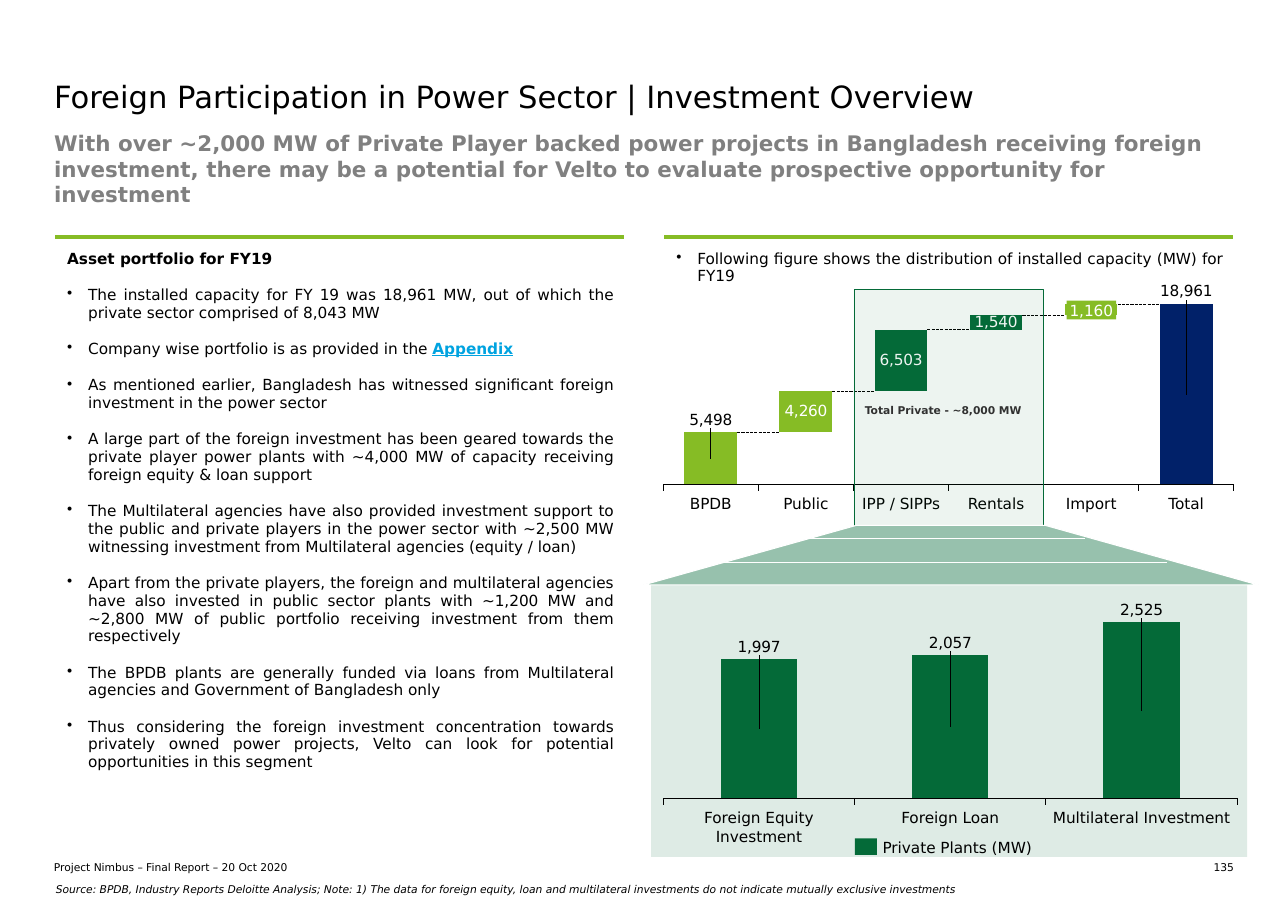
from pptx import Presentation
from pptx.chart.data import CategoryChartData
from pptx.dml.color import RGBColor
from pptx.enum.chart import XL_CHART_TYPE as ChartType, XL_TICK_LABEL_POSITION as TickLabel, XL_TICK_MARK as Tick
from pptx.enum.dml import MSO_LINE as Dash
from pptx.enum.shapes import MSO_CONNECTOR as Connector, MSO_SHAPE as Preset
from pptx.enum.text import MSO_ANCHOR as Anchor, PP_ALIGN as Align
from pptx.oxml import parse_xml
from pptx.oxml.ns import nsdecls, qn
from pptx.util import Inches, Pt

COLORS = {"black": "000000", "white": "FFFFFF", "grey": "808080", "charcoal": "313131",
          "lime": "86BC25", "green": "046A38", "navy": "012169", "link": "00A3E0"}
FONT = "DejaVu Sans"
COLUMNS, ROWS = 116.9, 82.7  # square grid cells, a tenth of an inch each


def rgb(color):
    return RGBColor.from_string(COLORS[color])


class SlideBuilder:
    def __init__(self, slide):
        self.slide = slide
        self.shapes = slide.shapes

    def cells(self, *lengths):
        return [Inches(length / 10) for length in lengths]

    def style(self, font, size=10, color="black", bold=False, italic=False, underline=False):
        font.name, font.size = FONT, Pt(size)
        font.color.rgb = rgb(color)
        font.bold, font.italic, font.underline = bold, italic, underline

    def add_runs(self, paragraph, *runs, align=Align.LEFT, **style):
        """Add runs, each a string or a (string, style overrides) pair."""
        paragraph.alignment = align
        for item in runs:
            words, extra = item if isinstance(item, tuple) else (item, {})
            run = paragraph.add_run()
            run.text = words
            self.style(run.font, **{**style, **extra})

    def frame(self, frame, insets=(0, 0, 0, 0), anchor=Anchor.TOP, wrap=True):
        """Set up a text frame and return its first paragraph."""
        frame.margin_left, frame.margin_top, frame.margin_right, frame.margin_bottom = self.cells(*insets)
        frame.vertical_anchor, frame.word_wrap = anchor, wrap
        return frame.paragraphs[0]

    def text(self, at, words, insets=(0, 0, 0, 0), anchor=Anchor.TOP, wrap=True, spacing=None, **style):
        box = self.shapes.add_textbox(*self.cells(*at))
        paragraph = self.frame(box.text_frame, insets, anchor, wrap)
        paragraph.line_spacing = spacing
        self.add_runs(paragraph, words, **style)

    def paint(self, shape, fill, opacity=None, line=None, width=0.75):
        shape.shadow.inherit = False
        shape.fill.solid()
        shape.fill.fore_color.rgb = rgb(fill)
        if opacity:
            color = shape._element.spPr.find(qn("a:solidFill"))[0]
            color.append(parse_xml(f'<a:alpha {nsdecls("a")} val="{opacity * 1000}"/>'))
        if line:
            shape.line.color.rgb, shape.line.width = rgb(line), Pt(width)
        else:
            shape.line.fill.background()
        return shape

    def rect(self, at, fill, **look):
        return self.paint(self.shapes.add_shape(Preset.RECTANGLE, *self.cells(*at)), fill, **look)

    def polygon(self, points, fill, **look):
        start, *rest = [self.cells(*point) for point in points]
        outline = self.shapes.build_freeform(*start)
        outline.add_line_segments(rest, close=True)
        return self.paint(outline.convert_to_shape(), fill, **look)

    def level_line(self, left, right, y, color, width, dash=None):
        line = self.shapes.add_connector(Connector.STRAIGHT, *self.cells(left, y, right, y))
        line.line.color.rgb, line.line.width = rgb(color), Pt(width)
        if dash:
            line.line.dash_style = dash
        line._element.spPr.append(parse_xml(f'<a:effectLst {nsdecls("a")}/>'))

    def panel(self, at, bullets, heading=None):
        """One-cell table with a lime rule on top and bulleted text."""
        table = self.shapes.add_table(1, 1, *self.cells(*at)).table
        table.first_row = table.horz_banding = False
        cell = table.cell(0, 0)
        cell.fill.background()
        cell.margin_left, cell.margin_top, cell.margin_right, cell.margin_bottom = self.cells(1.2, 1.2, 1, 0.5)
        borders = [("L", "white", 1), ("R", "white", 1), ("T", "lime", 3), ("B", "white", 3)]
        for place, (side, color, width) in enumerate(borders):
            cell._tc.get_or_add_tcPr().insert(place, parse_xml(
                f'<a:ln{side} {nsdecls("a")} w="{Pt(width)}"><a:solidFill>'
                f'<a:srgbClr val="{COLORS[color]}"/></a:solidFill></a:ln{side}>'))
        entries = ([(heading, True)] if heading else []) + [(bullet, False) for bullet in bullets]
        for number, (runs, is_heading) in enumerate(entries):
            paragraph = cell.text_frame.add_paragraph() if number else cell.text_frame.paragraphs[0]
            paragraph.space_before, paragraph.space_after = Pt(6 if number else 0), Pt(6)
            if not is_heading:
                properties = paragraph._p.get_or_add_pPr()
                properties.set("marL", str(Inches(0.19)))
                properties.set("indent", str(-Inches(0.19)))
                properties.append(parse_xml(f'<a:buChar {nsdecls("a")} char="•"/>'))
            self.add_runs(paragraph, *runs, align=Align.JUSTIFY, bold=is_heading)

    def columns(self, at, series, gap, plot, top):
        """Stacked columns; each series is (values, fill, point fills, labelled points, labels above)."""
        data = CategoryChartData(number_format="#,##0")
        data.categories = [str(n + 1) for n in range(len(series[0][0]))]
        for number, (values, *_) in enumerate(series, 1):
            data.add_series(f"Series {number}", values)
        chart = self.shapes.add_chart(ChartType.COLUMN_STACKED, *self.cells(*at), data).chart
        chart.has_legend = chart.has_title = False
        self.style(chart.font)
        bars = chart.plots[0]
        bars.gap_width, bars.overlap, bars.vary_by_categories = gap, 100, False
        categories, scale = chart.category_axis, chart.value_axis
        categories.tick_label_position, categories.major_tick_mark = TickLabel.NONE, Tick.OUTSIDE
        categories.format.line.color.rgb, categories.format.line.width = rgb("black"), Pt(0.75)
        scale.minimum_scale, scale.maximum_scale = 0, top
        scale.has_major_gridlines = scale.visible = False
        for bar, (values, fill, point_fills, labelled, above) in zip(bars.series, series):
            self.fill_bar(bar, fill)
            for index, color in point_fills.items():
                self.fill_bar(bar.points[index], color)
            for index in labelled:
                self.style(bar.points[index].data_label.font, color="black" if above else "white")
            bar.data_labels.show_value = False
            for label in bar._element.findall(f'{qn("c:dLbls")}/{qn("c:dLbl")}') if above else []:
                value = values[int(label.find(qn("c:idx")).get("val"))]
                rise = value / top * plot[3] / 2 + 0.057
                label.insert(1, self.layout(x=0, y=-rise))
        area = chart._chartSpace.chart.plotArea
        for old in area.findall(qn("c:layout")):
            area.remove(old)
        area.insert(0, self.layout("inner", **dict(zip("xywh", plot))))

    def fill_bar(self, bar, color):
        if color:
            bar.format.fill.solid()
            bar.format.fill.fore_color.rgb = rgb(color)
        else:
            bar.format.fill.background()

    def layout(self, target=None, **shares):
        """Manual chart layout in shares of the chart's size."""
        parts = ""
        if target:
            parts = f'<c:layoutTarget val="{target}"/><c:xMode val="edge"/><c:yMode val="edge"/>'
        parts += "".join(f'<c:{key} val="{share:.3f}"/>' for key, share in shares.items())
        return parse_xml(f'<c:layout {nsdecls("c")}><c:manualLayout>{parts}</c:manualLayout></c:layout>')

    def captions(self, y, left, step, names):
        for index, (words, width, height) in enumerate(names):
            center = left + step * (index + 0.5)
            self.text((center - width / 2, y, width, height), words, wrap=height > 2, align=Align.CENTER)


def build(page):
    page.text((4.9, 78.1, 48.3, 1.2), "Project Nimbus – Final Report – 20 Oct 2020", anchor=Anchor.BOTTOM, size=7)
    page.text((107.5, 78.1, 4.5, 1.2), "135", align=Align.RIGHT, size=7)
    page.rect((59.1, 53.1, 54.1, 24.7), "green", opacity=13)
    page.text((4.9, 7.1, 107.1, 4.7), "Foreign Participation in Power Sector | Investment Overview", size=20)
    page.panel((4.9, 21.5, 51.8, 7.9), [
        ["The installed capacity for FY 19 was 18,961 MW, out of which the private sector comprised of 8,043 MW"],
        ["Company wise portfolio is as provided in the ",
         ("Appendix", {"color": "link", "bold": True, "underline": True})],
        ["As mentioned earlier, Bangladesh has witnessed significant foreign investment in the power sector"],
        ["A large part of the foreign investment has been geared towards the private player power plants with "
         "~4,000 MW of capacity receiving foreign equity & loan support"],
        ["The Multilateral agencies have also provided investment support to the public and private players in "
         "the power sector with ~2,500 MW witnessing investment from Multilateral agencies (equity / loan)"],
        ["Apart from the private players, the foreign and multilateral agencies have also invested in public "
         "sector plants with ~1,200 MW and ~2,800 MW of public portfolio receiving investment from them respectively"],
        ["The BPDB plants are generally funded via loans from Multilateral agencies and Government of Bangladesh only"],
        ["Thus considering the foreign investment concentration towards privately owned power projects, Velto can "
         "look for potential opportunities in this segment"],
    ], heading=["Asset portfolio for FY19"])
    page.text((4.9, 11.8, 107.1, 5.7),
              "With over ~2,000 MW of Private Player backed power projects in Bangladesh receiving foreign "
              "investment, there may be a potential for Velto to evaluate prospective opportunity for investment",
              size=14, color="grey", bold=True)
    page.panel((60.2, 21.5, 51.8, 3.3),
               [["Following figure shows the distribution of installed capacity (MW) for FY19"]])

    total, plot_left, step = 18961, 60.2, 8.63
    levels = [5498, 9758, 16261, 17801, total]
    bar_width = step / 1.8
    for index, level in enumerate(levels):
        bar_right = plot_left + step * (index + 0.5) + bar_width / 2
        y = 27.58 + 16.4 * (1 - level / total)
        page.level_line(bar_right, bar_right + step - bar_width, y, "black", 0.25, Dash.LONG_DASH)
    page.columns((59.3, 25.4, 53.6, 19.5), [
        ([5498] + levels, None, {0: "lime", 5: "navy"}, (0, 5), True),
        ([None, 4260, 6503, 1540, 1160, None], "lime", {2: "green", 3: "green"}, (1, 2, 3), False),
    ], gap=80, plot=(0.017, 0.112, 0.966, 0.841), top=total)
    imported = page.rect((96.8, 27.3, 4.5, 1.7), "lime")
    page.add_runs(page.frame(imported.text_frame, (0.2, 0, 0.2, 0), Anchor.MIDDLE, False), "1,160",
                  align=Align.CENTER, color="white")
    page.captions(44.9, plot_left, step, [("BPDB", 4, 1.7), ("Public", 4.2, 1.7), ("IPP / SIPPs", 7.9, 1.7),
                                          ("Rentals", 5.3, 1.7), ("Import", 4.9, 1.7), ("Total", 3.6, 1.7)])
    page.rect((77.5, 26.3, 17.2, 21.4), "green", opacity=7, line="green", width=0.25)
    page.text((78.5, 36.7, 15.3, 1.2), "Total Private - ~8,000 MW", size=7, color="charcoal", bold=True)

    page.columns((59.3, 54.3, 53.9, 19.1), [([1997, 2057, 2525], "green", {}, range(3), True)],
                 gap=150, plot=(0.017, 0.114, 0.966, 0.838), top=2525)
    page.captions(73.4, plot_left, 17.36, [("Foreign Equity Investment", 10.2, 3.3), ("Foreign Loan", 9.2, 1.7),
                                           ("Multilateral Investment", 16.4, 1.7)])
    page.rect((77.6, 76.1, 2, 1.5), "green")
    page.text((80.1, 76.1, 13.8, 1.7), "Private Plants (MW)", anchor=Anchor.MIDDLE, wrap=False)
    page.polygon([(114.2, 53.1), (94.9, 47.7), (77.7, 47.7), (58.4, 53.1)], "green", opacity=41, line="white")
    for left, right, y in [(65.4, 105.9, 51.1), (72.9, 98.5, 48.9)]:
        page.level_line(left, right, y, "white", 0.75)
    page.text((4.1, 79.4, 108.7, 2.5),
              "Source: BPDB, Industry Reports Deloitte Analysis; Note: 1) The data for foreign equity, loan and "
              "multilateral investments do not indicate mutually exclusive investments",
              insets=(1, 1, 1, 1), anchor=Anchor.MIDDLE, spacing=1.06, size=7, italic=True)


def main():
    deck = Presentation()
    deck.slide_width, deck.slide_height = Inches(COLUMNS / 10), Inches(ROWS / 10)
    build(SlideBuilder(deck.slides.add_slide(deck.slide_layouts[6])))
    deck.save("out.pptx")


if __name__ == "__main__":
    main()
